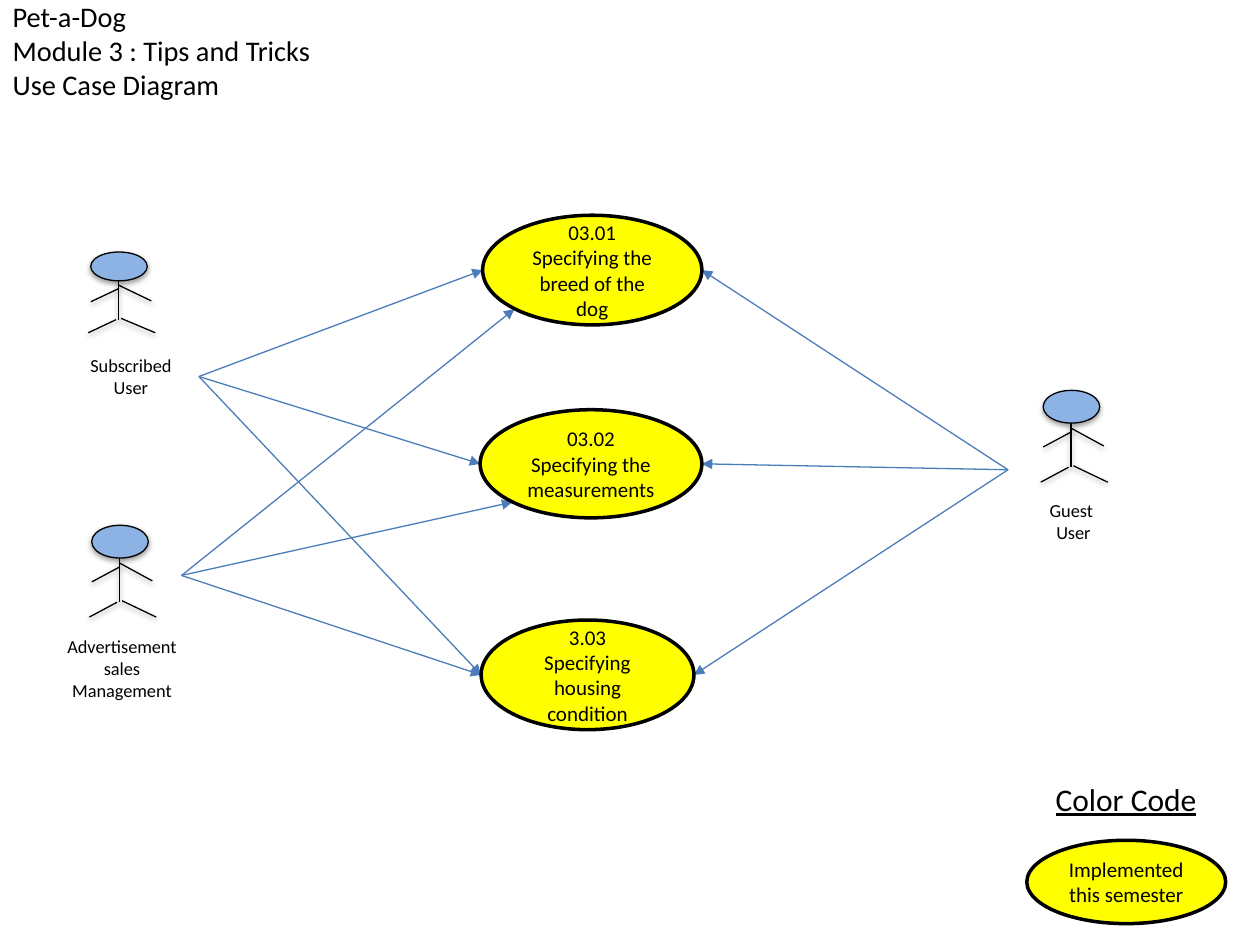
from lxml import etree
from pptx import Presentation
from pptx.dml.color import RGBColor
from pptx.enum import shapes as kinds, text as texts
from pptx.oxml import ns
from pptx.util import Cm, Pt

BLACK = RGBColor(0, 0, 0)
YELLOW = RGBColor(0xFF, 0xFF, 0x00)
BLUE = RGBColor(0x4A, 0x7D, 0xBA)
SKY = RGBColor(0x8C, 0xB3, 0xE3)


def write(frame, words, size, align=texts.PP_ALIGN.CENTER):
    """Fill a text frame; a newline starts a new paragraph."""
    frame.text = words
    frame.word_wrap = True
    for para in frame.paragraphs:
        para.alignment = align
        para.font.size = Pt(size)
        para.font.name = "Calibri"
        para.font.color.rgb = BLACK


def link(parent, start, end, color):
    """Draw a thin straight line with no shadow."""
    line = parent.add_connector(
        kinds.MSO_CONNECTOR.STRAIGHT, *(Cm(n) for n in (*start, *end)))
    line.line.color.rgb = color
    line.line.width = Pt(0.75)
    etree.SubElement(line._element.spPr, ns.qn("a:effectLst"))
    return line


deck = Presentation()
deck.slide_width, deck.slide_height = Cm(25.4), Cm(19.05)
slide = deck.slides.add_slide(deck.slide_layouts[5])

title = slide.shapes.title
title.left, title.top, title.width, title.height = Cm(0), Cm(0.61), Cm(11), Cm(1.47)
frame = title.text_frame
write(frame, "Pet-a-Dog\vModule 3 : Tips and Tricks\vUse Case Diagram",
      16.2, texts.PP_ALIGN.LEFT)
frame.auto_size = texts.MSO_AUTO_SIZE.NONE
frame.vertical_anchor = texts.MSO_ANCHOR.MIDDLE
frame.margin_bottom = Cm(0.81)

# Use cases and the colour key: left, top, width, height, text
cases = [
    (9.73, 4.34, 4.42, 2.21, "03.01 Specifying the breed of the dog"),
    (9.68, 8.26, 4.47, 2.18, "03.02 Specifying the measurements"),
    (9.7, 12.5, 4.29, 2.21, "3.03 Specifying housing condition"),
]
key = (20.7, 16.94, 4.01, 1.68, "Implemented this semester")

# Actors: arrow start, then the angle of the touched point on each case
# as (cosine, sine) seen from the middle of the oval
left, low, right = (-1, 0), (-0.71, 0.71), (1, 0)
flows = [
    ((4.01, 7.59), (left, left, left)),
    ((20.32, 9.47), (right, right, right)),
    ((3.66, 11.6), (low, low, left)),
]
for start, sides in flows:
    for (x, y, w, h, _), (cos, sin) in zip(cases, sides):
        end = (x + w / 2 * (1 + cos), y + h / 2 * (1 + sin))
        arrow = link(slide.shapes, start, end, BLUE)
        etree.SubElement(arrow.line._get_or_add_ln(), ns.qn("a:tailEnd"),
                         type="triangle")

for x, y, w, h, words in cases + [key]:
    oval = slide.shapes.add_shape(
        kinds.MSO_SHAPE.OVAL, Cm(x), Cm(y), Cm(w), Cm(h))
    oval.shadow.inherit = False
    oval.fill.solid()
    oval.fill.fore_color.rgb = YELLOW
    oval.line.color.rgb = BLACK
    oval.line.width = Pt(2)
    write(oval.text_frame, words, 12)
    oval.text_frame.vertical_anchor = texts.MSO_ANCHOR.MIDDLE

head = slide.shapes.add_textbox(Cm(21.03), Cm(15.6), Cm(3.38), Cm(1.02))
write(head.text_frame, "Color Code", 18, texts.PP_ALIGN.LEFT)
head.text_frame.word_wrap = False
head.text_frame.paragraphs[0].font.underline = True

# Stick figure, measured from the top left of its head
limbs = [
    ((0.56, 0.66), (0.56, 1.55)),
    ((0.56, 0.84), (0, 1.14)),
    ((0.51, 1.55), (-0.05, 1.85)),
    ((0.56, 0.76), (1.22, 1.12)),
    ((0.61, 1.52), (1.3, 1.85)),
]
# Left, top, height factor, caption box, caption
actors = [
    (1.83, 5.08, 0.88, (1.27, 7.01, 2.74, 1.14), "Subscribed User"),
    (1.85, 10.59, 1, (0.91, 12.67, 3.1, 1.7), "Advertisement sales Management"),
    (21.03, 7.87, 1, (20.09, 9.93, 3.1, 1.14), "Guest \nUser"),
]
for x, y, scale, box, words in actors:
    parts = slide.shapes.add_group_shape().shapes
    face = parts.add_shape(
        kinds.MSO_SHAPE.OVAL, Cm(x), Cm(y), Cm(1.14), Cm(0.66 * scale))
    face.shadow.inherit = False
    face.fill.solid()
    face.fill.fore_color.rgb = SKY
    face.line.color.rgb = BLACK
    face.line.width = Pt(0.75)
    for limb in limbs:
        start, end = ((x + dx, y + dy * scale) for dx, dy in limb)
        link(parts, start, end, BLACK)
    for part in parts:
        effect = part._element.spPr.find(ns.qn("a:effectLst"))
        shade = etree.SubElement(
            effect, ns.qn("a:outerShdw"), blurRad=str(Pt(3.1)),
            dist=str(Pt(1.6)), dir="5400000", rotWithShape="0")
        tone = etree.SubElement(shade, ns.qn("a:srgbClr"), val="000000")
        etree.SubElement(tone, ns.qn("a:alpha"), val="38000")
    label = parts.add_textbox(*(Cm(n) for n in box))
    write(label.text_frame, words, 10.5)

deck.save("out.pptx")
